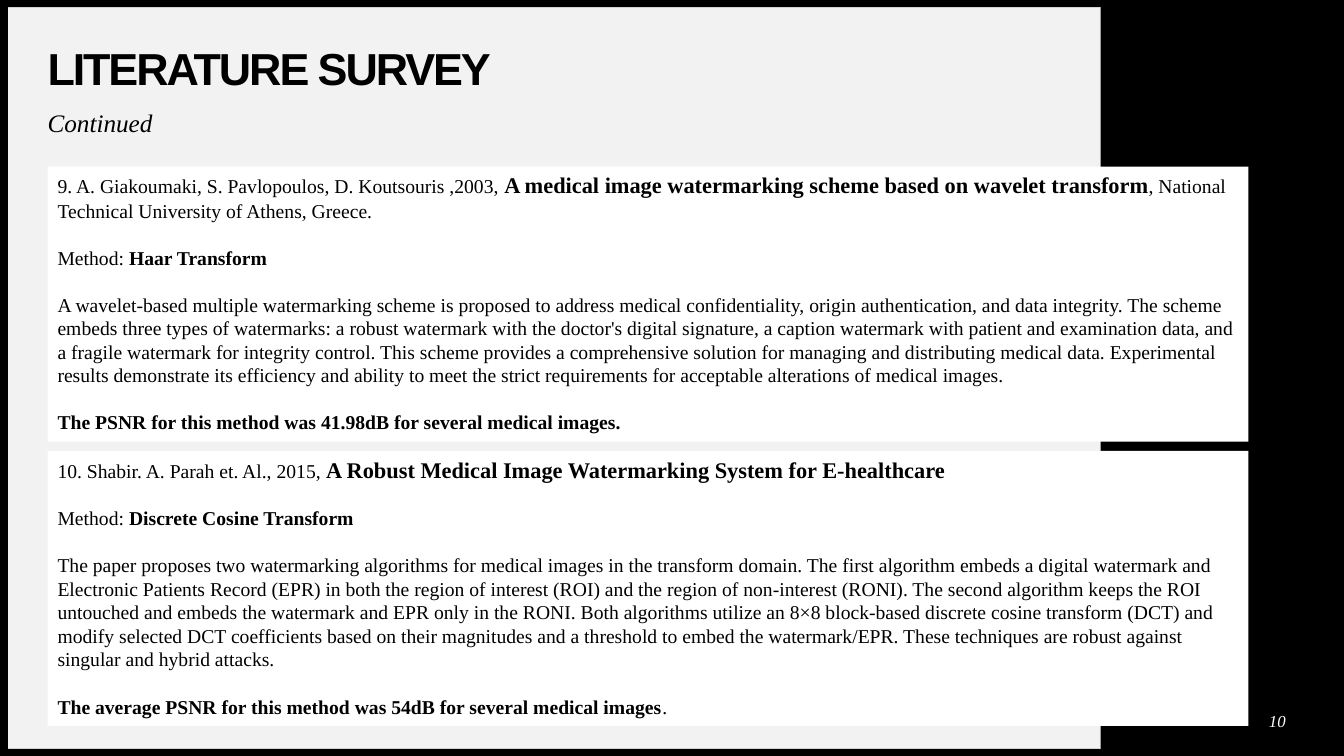
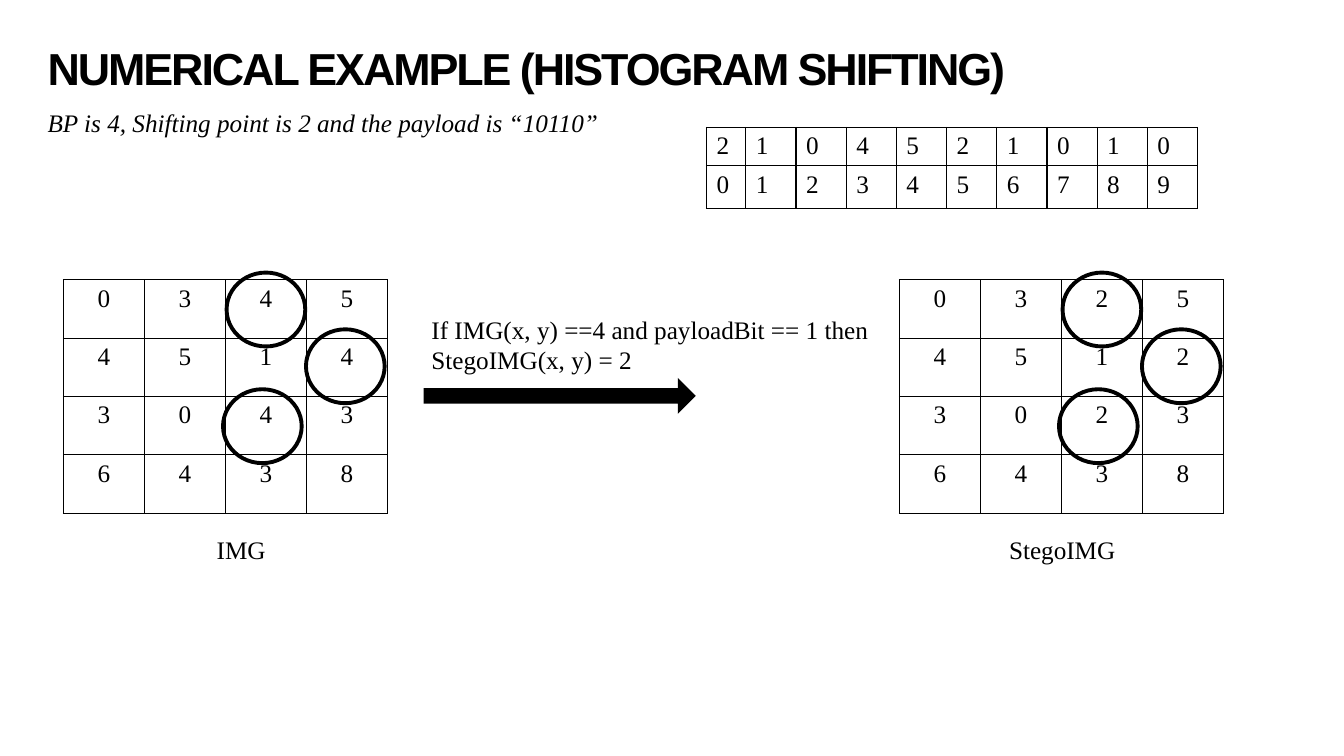
from dataclasses import dataclass

from lxml import etree
from pptx import Presentation
from pptx import util as u
from pptx.dml.color import RGBColor
from pptx.enum import shapes, text
from pptx.oxml.ns import qn


@dataclass(frozen=True)
class Theme:
    ink: str = "000000"
    paper: str = "FFFFFF"
    panel: str = "F2F2F2"
    heading_font: str = "Arial"
    body_font: str = "Times New Roman"
    title_size: float = 32
    text_size: float = 18
    paper_title_size: float = 16
    card_size: float = 14
    number_size: float = 12
    card_gap: float = 16.8


theme = Theme()
LEFT = text.PP_ALIGN.LEFT
CENTER = text.PP_ALIGN.CENTER
TOP = text.MSO_ANCHOR.TOP
MIDDLE = text.MSO_ANCHOR.MIDDLE


def write_text(frame, paragraphs, *, font=theme.body_font, size=theme.text_size,
               color=theme.ink, bold=False, italic=False, align=LEFT, anchor=TOP,
               margin=None, line_spacing=None, gap=0, tracking=None):
    """Each paragraph is a string or a list of (text, bold, size) runs."""
    frame.word_wrap = True
    frame.vertical_anchor = anchor
    if margin is not None:
        frame.margin_left = frame.margin_right = u.Cm(margin)
        frame.margin_top = frame.margin_bottom = u.Cm(margin)
    for index, content in enumerate(paragraphs):
        paragraph = frame.add_paragraph() if index else frame.paragraphs[0]
        paragraph.alignment = align
        if line_spacing:
            paragraph.line_spacing = line_spacing
        if index and gap:
            paragraph.space_before = u.Pt(gap)
        runs = [(content, bold, size)] if isinstance(content, str) else content
        for words, run_bold, run_size in runs:
            run = paragraph.add_run()
            run.text = words
            run.font.name = font
            run.font.size = u.Pt(run_size)
            run.font.bold = run_bold
            run.font.italic = italic
            run.font.color.rgb = RGBColor.from_string(color)
            if tracking:
                run.font._element.set("spc", str(round(tracking * 100)))


def add_grid(slide, left, top, widths, heights, rows, align=LEFT):
    """Add a table with thin ruled cells and no fill."""
    table = slide.shapes.add_table(
        len(heights), len(widths), u.Cm(left), u.Cm(top),
        u.Cm(sum(widths)), u.Cm(sum(heights))).table
    table.first_row = table.horz_banding = False
    for column, width in zip(table.columns, widths):
        column.width = u.Cm(width)
    for row, height, values in zip(table.rows, heights, rows):
        row.height = u.Cm(height)
        for cell, value in zip(row.cells, values):
            write_text(cell.text_frame, [value], align=align)
            cell.margin_bottom = u.Cm(0.05)
            properties = cell._tc.get_or_add_tcPr()
            for side in ("a:lnL", "a:lnR", "a:lnT", "a:lnB"):
                line = etree.SubElement(properties, qn(side), w=str(u.Pt(1)))
                fill = etree.SubElement(line, qn("a:solidFill"))
                etree.SubElement(fill, qn("a:srgbClr"), val=theme.ink)
            cell.fill.background()


presentation = Presentation()
presentation.slide_width = u.Inches(13.33)
presentation.slide_height = u.Inches(7.5)
blank_layout = presentation.slide_layouts[6]

# Backgrounds, framed panel, titles and subtitles
frame_parts = (
    (theme.panel, 0.2, 0.18, 27.53, 18.69),
    (theme.ink, 31.7, 17.65, 2.16, 1.02),
    (theme.ink, 0, 18.87, 27.71, 0.18),
    (theme.ink, 0, 0, 27.71, 0.18),
    (theme.ink, 0, 0, 0.2, 18.97),
    (theme.ink, 27.97, 17.53, 3.84, 1.02),
)
slides = []
for title, subtitle, background, parts in (
    ("LITERATURE SURVEY", "Continued", theme.ink, frame_parts),
    ("NUMERICAL EXAMPLE (HISTOGRAM SHIFTING)",
     "BP is 4, Shifting point is 2 and the payload is “10110”", theme.paper, ()),
):
    slide = presentation.slides.add_slide(blank_layout)
    slide.background.fill.solid()
    slide.background.fill.fore_color.rgb = RGBColor.from_string(background)
    for color, left, top, width, height in parts:
        part = slide.shapes.add_shape(
            shapes.MSO_SHAPE.RECTANGLE, u.Cm(left), u.Cm(top), u.Cm(width), u.Cm(height))
        part.shadow.inherit = False
        part.fill.solid()
        part.fill.fore_color.rgb = RGBColor.from_string(color)
        part.line.fill.background()
    title_box = slide.shapes.add_textbox(u.Cm(1.2), u.Cm(1.19), u.Cm(25.55), u.Cm(1.19))
    write_text(title_box.text_frame, [title], font=theme.heading_font,
               size=theme.title_size, bold=True, anchor=MIDDLE, margin=0,
               line_spacing=0.9, tracking=-1.5)
    subtitle_box = slide.shapes.add_textbox(u.Cm(1.2), u.Cm(2.79), u.Cm(25.55), u.Cm(0.99))
    write_text(subtitle_box.text_frame, [subtitle], italic=True, margin=0,
               line_spacing=0.9)
    slides.append(slide)
survey, example = slides

# Literature survey: one card per paper
papers = (
    {
        "authors": "9. A. Giakoumaki, S. Pavlopoulos, D. Koutsouris ,2003, ",
        "title": "A medical image watermarking scheme based on wavelet transform",
        "place": ", National Technical University of Athens, Greece.",
        "method": "Haar Transform",
        "summary": "A wavelet-based multiple watermarking scheme is proposed to address "
                   "medical confidentiality, origin authentication, and data integrity. "
                   "The scheme embeds three types of watermarks: a robust watermark with "
                   "the doctor's digital signature, a caption watermark with patient and "
                   "examination data, and a fragile watermark for integrity control. This "
                   "scheme provides a comprehensive solution for managing and distributing "
                   "medical data. Experimental results demonstrate its efficiency and "
                   "ability to meet the strict requirements for acceptable alterations of "
                   "medical images.",
        "result": [("The PSNR for this method was 41.98dB for several medical images.",
                    True, theme.card_size)],
    },
    {
        "authors": "10. Shabir. A. Parah et. Al., 2015, ",
        "title": "A Robust Medical Image Watermarking System for E-healthcare",
        "place": "",
        "method": "Discrete Cosine Transform",
        "summary": "The paper proposes two watermarking algorithms for medical images in "
                   "the transform domain. The first algorithm embeds a digital watermark "
                   "and Electronic Patients Record (EPR) in both the region of interest "
                   "(ROI) and the region of non-interest (RONI). The second algorithm "
                   "keeps the ROI untouched and embeds the watermark and EPR only in the "
                   "RONI. Both algorithms utilize an 8×8 block-based discrete cosine "
                   "transform (DCT) and modify selected DCT coefficients based on their "
                   "magnitudes and a threshold to embed the watermark/EPR. These "
                   "techniques are robust against singular and hybrid attacks.",
        "result": [("The average PSNR for this method was 54dB for several medical images",
                    True, theme.card_size), (".", False, theme.card_size)],
    },
)
for index, paper in enumerate(papers):
    card = survey.shapes.add_shape(
        shapes.MSO_SHAPE.RECTANGLE, u.Cm(1.2), u.Cm(4.2 + 7.16 * index),
        u.Cm(30.25), u.Cm(6.93))
    card.shadow.inherit = False
    card.fill.solid()
    card.fill.fore_color.rgb = RGBColor.from_string(theme.paper)
    card.line.fill.background()
    citation = [(paper["authors"], False, theme.card_size),
                (paper["title"], True, theme.paper_title_size)]
    if paper["place"]:
        citation.append((paper["place"], False, theme.card_size))
    method = [("Method: ", False, theme.card_size),
              (paper["method"], True, theme.card_size)]
    write_text(card.text_frame, [citation, method, paper["summary"], paper["result"]],
               size=theme.card_size, gap=theme.card_gap)

number_box = survey.shapes.add_textbox(u.Cm(31.8), u.Cm(17.78), u.Cm(0.76), u.Cm(0.76))
write_text(number_box.text_frame, ["10"], size=theme.number_size, color=theme.paper,
           italic=True, align=CENTER, anchor=MIDDLE, margin=0)

# Numerical example: histogram, then the pixel grids before and after
add_grid(example, 17.8, 3.21, [0.99] + [1.265] * 9, [0.96, 1.08],
         ["2104521010", "0123456789"])

arrow = example.shapes.add_shape(
    shapes.MSO_SHAPE.RIGHT_ARROW, u.Cm(10.67), u.Cm(9.52), u.Cm(6.86), u.Cm(0.91))
arrow.adjustments[0] = 0.43
arrow.adjustments[1] = 0.5
marks = [arrow]

grid_top = 7.05
ring_offsets = ((4.06, -0.23), (6.06, 1.2), (3.97, 2.71))
for grid_left, pixels in (
    (1.6, ["0345", "4514", "3043", "6438"]),
    (22.66, ["0325", "4512", "3023", "6438"]),
):
    add_grid(example, grid_left, grid_top, [2.04] * 4, [1.47] * 4, pixels, align=CENTER)
    for across, down in ring_offsets:
        ring = example.shapes.add_shape(
            shapes.MSO_SHAPE.DONUT, u.Cm(grid_left + across), u.Cm(grid_top + down),
            u.Cm(2.08), u.Cm(1.96))
        ring.adjustments[0] = 0.05
        marks.append(ring)

for mark in marks:
    mark.shadow.inherit = False
    mark.fill.solid()
    mark.fill.fore_color.rgb = RGBColor.from_string(theme.ink)
    mark.line.fill.background()

for label, left, top, width, height in (
    ("If IMG(x, y) ==4 and payloadBit == 1 then StegoIMG(x, y) = 2", 10.62, 7.8, 12.4, 1.8),
    ("IMG", 5.21, 13.34, 1.85, 1.02),
    ("StegoIMG", 25.17, 13.34, 5, 1.02),
):
    label_box = example.shapes.add_textbox(u.Cm(left), u.Cm(top), u.Cm(width), u.Cm(height))
    write_text(label_box.text_frame, [label])

presentation.save("out.pptx")
